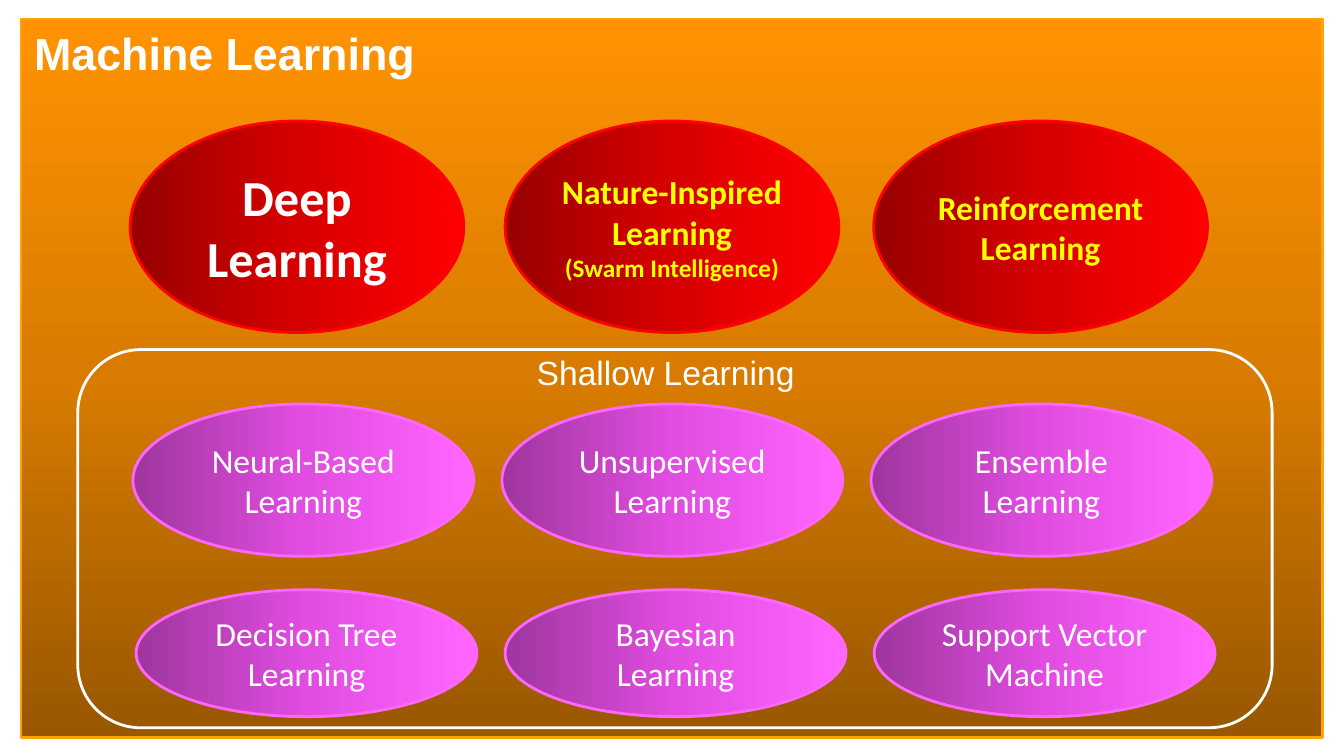
"""Build the slide that maps the families of machine learning."""
from copy import deepcopy

from pptx import Presentation
from pptx.dml.color import RGBColor
from pptx.enum.shapes import MSO_SHAPE as Preset
from pptx.enum.text import MSO_ANCHOR as Anchor, MSO_AUTO_SIZE as AutoSize, PP_ALIGN as Align
from pptx.oxml.ns import qn
from pptx.util import Cm, Pt

COLORS = {"white": "FFFFFF", "yellow": "FFFF00", "amber": "FEA402", "red": "FF0000", "pink": "FF66FF"}
GRADIENTS = {
    "amber": ("985700", "D87B00", "FF9201"),
    "red": ("970000", "D70000", "FF0000"),
    "pink": ("9E369E", "E14CE1", "FF66FF"),
}
ADVANCED = [
    ("white", True, [("Deep", 36), ("Learning", 36)]),
    ("yellow", True, [("Nature-Inspired Learning", 24), ("(Swarm Intelligence)", 18)]),
    ("yellow", True, [("Reinforcement Learning", 24)]),
]
SHALLOW = [
    [("Neural-Based", "Learning"), ("Unsupervised", "Learning"), ("Ensemble", "Learning")],
    [("Decision Tree", "Learning"), ("Bayesian", "Learning"), ("Support Vector", "Machine")],
]


def add_outline(slide, preset, box, color):
    """Add an unfilled shape with a coloured border."""
    shape = slide.shapes.add_shape(preset, *map(Cm, box))
    shape.shadow.inherit = False
    shape.fill.background()
    shape.line.color.rgb = RGBColor.from_string(COLORS[color])
    shape.line.width = Pt(2)
    return shape


def fill_gradient(shape, name, angle):
    """Fill a shape with an evenly spaced three-colour gradient."""
    shape.fill.gradient()
    shape.fill.gradient_angle = angle
    stop_list = shape.element.spPr.find(qn("a:gradFill")).find(qn("a:gsLst"))
    stop_list.append(deepcopy(stop_list[-1]))
    for stop, position, color in zip(shape.fill.gradient_stops, (0, 0.5, 1), GRADIENTS[name]):
        stop.position = position
        stop.color.rgb = RGBColor.from_string(color)


def write_lines(frame, lines, font_name, color, bold, align):
    """Write each (text, size) pair as one paragraph."""
    for index, (text, size) in enumerate(lines):
        paragraph = frame.add_paragraph() if index else frame.paragraphs[0]
        paragraph.alignment = align
        run = paragraph.add_run()
        run.text = text
        run.font.name = font_name
        run.font.size = Pt(size)
        run.font.bold = bold
        run.font.color.rgb = RGBColor.from_string(COLORS[color])


def add_heading(slide, box, text, size, bold, align, inset_x, inset_y):
    """Add a white heading whose box grows with its text."""
    frame = slide.shapes.add_textbox(*map(Cm, box)).text_frame
    frame.word_wrap = True
    frame.auto_size = AutoSize.SHAPE_TO_FIT_TEXT
    frame.margin_left = frame.margin_right = Cm(inset_x)
    frame.margin_top = frame.margin_bottom = Cm(inset_y)
    write_lines(frame, [(text, size)], "Arial", "white", bold, align)


def add_bubble(slide, box, fill, color, bold, lines):
    """Add a gradient ellipse naming one kind of learning."""
    shape = add_outline(slide, Preset.OVAL, box, fill)
    fill_gradient(shape, fill, 0)
    frame = shape.text_frame
    frame.word_wrap = True
    frame.vertical_anchor = Anchor.MIDDLE
    frame.margin_left = frame.margin_right = 0
    frame.margin_top = frame.margin_bottom = Cm(0.18)
    write_lines(frame, lines, "Calibri", color, bold, Align.CENTER)


def draw_panel(slide, box):
    """Draw the amber panel and its title."""
    left, top, _, _ = box
    fill_gradient(add_outline(slide, Preset.RECTANGLE, box, "amber"), "amber", 90)
    add_heading(slide, (left, top, 11.71, 1.7), "Machine Learning", 32, True, Align.LEFT, 0.33, 0.18)


def draw_advanced(slide, box):
    """Draw the row of red bubbles."""
    left, top, width, height = box
    for offset, (color, bold, lines) in zip((0, 9.45, 18.74), ADVANCED):
        add_bubble(slide, (left + offset, top, width, height), "red", color, bold, lines)


def draw_shallow(slide, box):
    """Draw the rounded frame with its heading and two rows of pink bubbles."""
    left, top, _, _ = box
    add_outline(slide, Preset.ROUNDED_RECTANGLE, box, "white")
    rows = zip(SHALLOW, (1.39, 1.47), (1.37, 6.05), (3.84, 3.2))
    for names, offset_x, offset_y, height in rows:
        for column, words in enumerate(names):
            bubble = (left + offset_x + column * 9.3, top + offset_y, 8.59, height)
            add_bubble(slide, bubble, "pink", "white", False, [(word, 24) for word in words])
    label = (left + 10.28, top - 0.07, 9.07, 1.27)
    add_heading(slide, label, "Shallow Learning", 24, False, Align.CENTER, 0.25, 0.13)


def main():
    """Create and save the presentation."""
    presentation = Presentation()
    presentation.slide_width = Cm(33.87)
    presentation.slide_height = Cm(19.05)
    slide = presentation.slides.add_slide(presentation.slide_layouts[6])
    draw_panel(slide, (0.53, 0.48, 32.79, 18.11))
    draw_advanced(slide, (3.28, 3.05, 8.41, 5.33))
    draw_shallow(slide, (1.96, 8.81, 30.1, 9.53))
    presentation.save("out.pptx")


if __name__ == "__main__":
    main()
